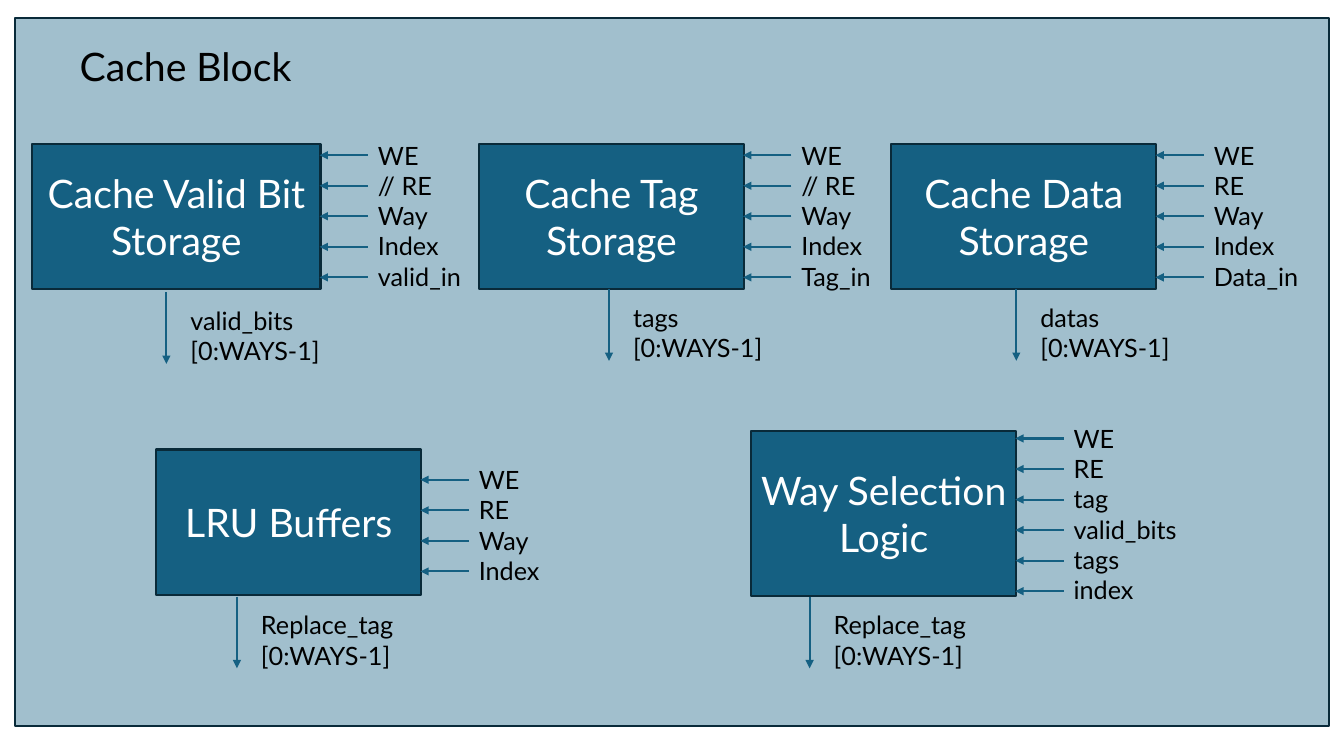
from lxml import etree
from pptx import Presentation
from pptx.dml.color import RGBColor
from pptx.enum.shapes import MSO_CONNECTOR, MSO_SHAPE
from pptx.enum.text import MSO_ANCHOR, MSO_AUTO_SIZE, PP_ALIGN
from pptx.oxml.ns import qn
from pptx.util import Inches, Pt

RECT, STRAIGHT = MSO_SHAPE.RECTANGLE, MSO_CONNECTOR.STRAIGHT
LEFT, CENTER = PP_ALIGN.LEFT, PP_ALIGN.CENTER
TOP, MIDDLE = MSO_ANCHOR.TOP, MSO_ANCHOR.MIDDLE

FONT = "Lato"
COLORS = {"block": "156082", "edge": "092A39", "text": "000000", "on_block": "FFFFFF"}
LINE_PITCH = 0.303
ARROW_LEN = 0.48
OUTPUT_LEN = 0.71

# name, box, input signals, top of inputs, output signal, start of output arrow, output width
MODULES = [
    ("Cache Valid Bit Storage", (0.32, 1.43, 2.86, 1.44),
     ["WE", "// RE", "Way", "Index", "valid_in"], 1.34,
     "valid_bits [0:WAYS-1]", (1.65, 2.9), 1.48),
    ("Cache Tag Storage", (4.75, 1.43, 2.63, 1.44),
     ["WE", "// RE", "Way", "Index", "Tag_in"], 1.34,
     "tags [0:WAYS-1]", (6.04, 2.87), 1.48),
    ("Cache Data Storage", (8.84, 1.43, 2.63, 1.44),
     ["WE", "RE", "Way", "Index", "Data_in"], 1.34,
     "datas [0:WAYS-1]", (10.08, 2.87), 1.83),
    ("LRU Buffers", (1.55, 4.46, 2.63, 1.44),
     ["WE", "RE", "Way", "Index"], 4.56,
     "Replace_tag [0:WAYS-1]", (2.35, 5.92), 1.55),
    ("Way Selection Logic", (7.45, 4.28, 2.63, 1.63),
     ["WE", "RE", "tag", "valid_bits", "tags", "index"], 4.15,
     "Replace_tag [0:WAYS-1]", (8.03, 5.92), 1.55),
]


def rgb(name):
    return RGBColor.from_string(COLORS[name])


def write(tf, lines, size, color="text", align=LEFT, anchor=TOP):
    tf.word_wrap = True
    tf.vertical_anchor = anchor
    for i, line in enumerate(lines):
        p = tf.add_paragraph() if i else tf.paragraphs[0]
        p.alignment = align
        r = p.add_run()
        r.text = line
        r.font.name = FONT
        r.font.size = Pt(size)
        r.font.color.rgb = rgb(color)


def add_block(s, box):
    sp = s.shapes.add_shape(RECT, *map(Inches, box))
    sp.shadow.inherit = False
    sp.fill.solid()
    sp.fill.fore_color.rgb = rgb("block")
    sp.line.color.rgb = rgb("edge")
    sp.line.width = Pt(1.5)
    return sp


def add_label(s, box, lines):
    tf = s.shapes.add_textbox(*map(Inches, box)).text_frame
    write(tf, lines, 18)
    tf.auto_size = MSO_AUTO_SIZE.SHAPE_TO_FIT_TEXT


def add_arrow(s, x1, y1, x2, y2):
    c = s.shapes.add_connector(STRAIGHT, *map(Inches, (x1, y1, x2, y2)))
    c.line.color.rgb = rgb("block")
    c.line.width = Pt(1.5)
    etree.SubElement(c.line._get_or_add_ln(), qn("a:tailEnd"), type="triangle")
    etree.SubElement(c.element.spPr, qn("a:effectLst"))


def add_inputs(s, x, y, signals):
    """Stack the signal names at x, y, each with an arrow to the left."""
    add_label(s, (x, y, 1.38, 0.1 + LINE_PITCH * len(signals)), signals)
    for i in range(len(signals)):
        arrow_y = y + 0.2 + i * LINE_PITCH
        add_arrow(s, x, arrow_y, x - ARROW_LEN, arrow_y)


def add_output(s, x, y, signal, width):
    """Draw an arrow down from x, y with the signal name beside it."""
    add_arrow(s, x, y, x, y + OUTPUT_LEN)
    add_label(s, (x + 0.14, y + 0.08, width, 0.71), [signal])


def add_module(s, name, box, inputs, inputs_top, output, output_start, output_width):
    left, _, width, _ = box
    write(add_block(s, box).text_frame, [name], 28, "on_block", CENTER, MIDDLE)
    add_inputs(s, left + width + 0.47, inputs_top, inputs)
    add_output(s, *output_start, output, output_width)


def add_panel(s, box, title):
    """Draw the translucent panel and put the slide title on top of it."""
    left, top, _, _ = box
    panel = add_block(s, box)
    color = panel.element.spPr.find(qn("a:solidFill"))[0]
    etree.SubElement(color, qn("a:alpha"), val="40000")
    sp = s.shapes.title
    panel.element.addnext(sp.element)
    sp.left, sp.top = Inches(left + 0.54), Inches(top + 0.19)
    sp.width, sp.height = Inches(3.71), Inches(0.57)
    write(sp.text_frame, [title], 28)
    sp.text_frame.auto_size = MSO_AUTO_SIZE.NONE


def main():
    prs = Presentation()
    prs.slide_width, prs.slide_height = Inches(13.33), Inches(7.5)
    s = prs.slides.add_slide(prs.slide_layouts[5])
    add_panel(s, (0.15, 0.18, 13.03, 7.02), "Cache Block")
    for module in MODULES:
        add_module(s, *module)
    prs.save("out.pptx")


if __name__ == "__main__":
    main()
